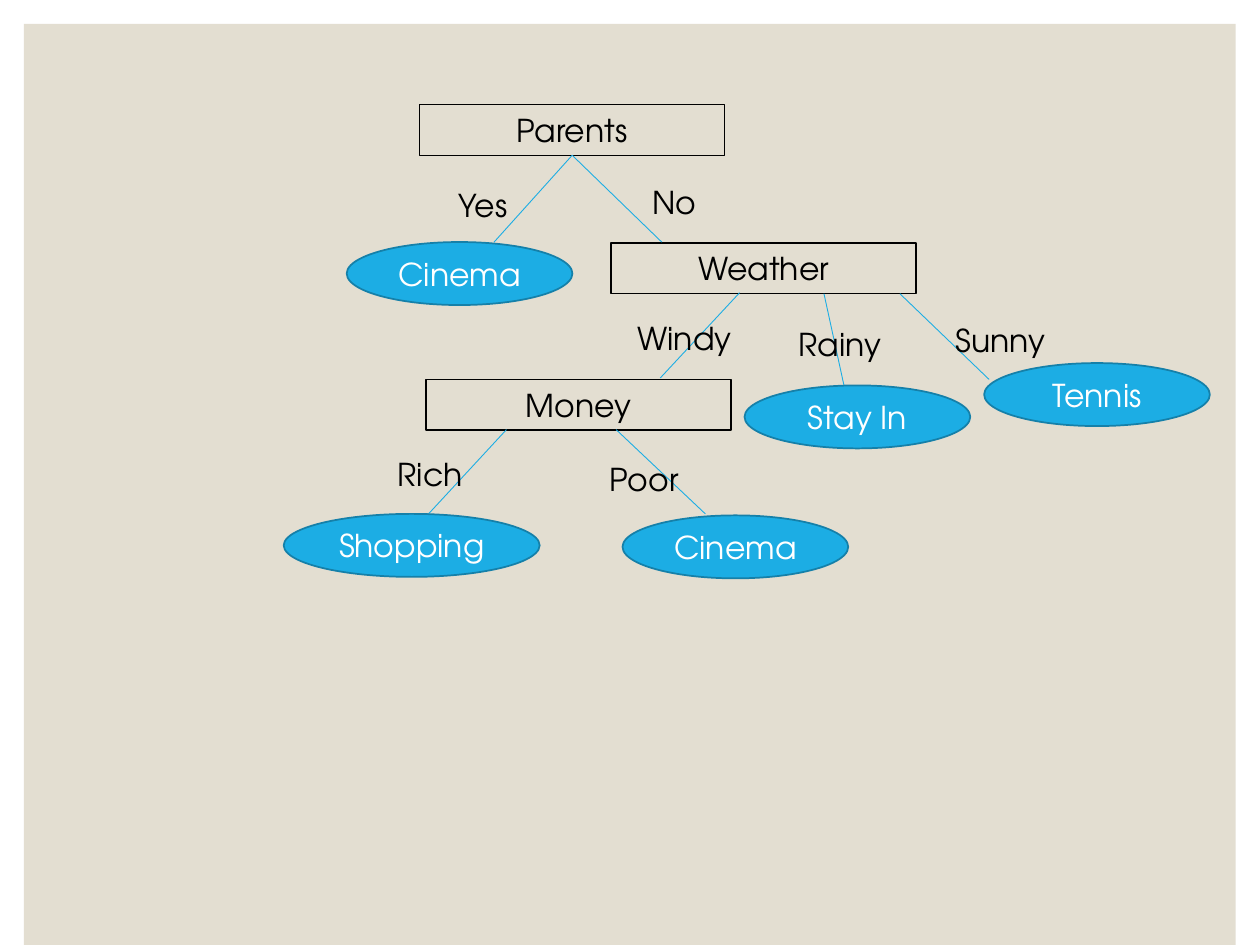
from lxml.etree import SubElement
from pptx import Presentation
from pptx.dml.color import RGBColor
from pptx.enum.shapes import MSO_CONNECTOR as Connector, MSO_SHAPE as Shape
from pptx.enum.text import MSO_ANCHOR as Anchor, MSO_AUTO_SIZE as AutoSize, PP_ALIGN as Align
from pptx.oxml.ns import qn
from pptx.util import Cm, Pt

SAND = RGBColor(0xE3, 0xDE, 0xD1)
BLUE = RGBColor(0x1C, 0xAD, 0xE4)
DARK_BLUE = RGBColor(0x15, 0x80, 0xA9)
BLACK = RGBColor(0, 0, 0)
WHITE = RGBColor(0xFF, 0xFF, 0xFF)
FONT = "TeX Gyre Adventor"
ROW_HEIGHT = 1.02
LEAF_WIDTH, LEAF_HEIGHT = 4.55, 1.27


def write(owner, wording, color, align, anchor):
    frame = owner.text_frame
    frame.word_wrap = True
    frame.vertical_anchor = anchor
    if anchor == Anchor.TOP:
        frame.auto_size = AutoSize.SHAPE_TO_FIT_TEXT
    paragraph = frame.paragraphs[0]
    paragraph.text = wording
    paragraph.alignment = align
    paragraph.font.name = FONT
    paragraph.font.size = Pt(18)
    paragraph.font.color.rgb = color


def add_panel(slide):
    panel = slide.shapes.add_shape(Shape.RECTANGLE, Cm(0.48), Cm(0.48), Cm(24.43), Cm(18.57))
    panel.shadow.inherit = False
    panel.fill.solid()
    panel.fill.fore_color.rgb = SAND
    panel.line.fill.background()


def add_question(slide, wording, left, top):
    question = slide.shapes.add_shape(Shape.RECTANGLE, Cm(left), Cm(top), Cm(6.15), Cm(ROW_HEIGHT))
    question.shadow.inherit = False
    question.fill.background()
    question.line.color.rgb = BLACK
    question.line.width = Pt(0.75)
    write(question, wording, BLACK, Align.CENTER, Anchor.TOP)
    return question


def add_decision(slide, wording, left, top, width=LEAF_WIDTH):
    decision = slide.shapes.add_shape(Shape.OVAL, Cm(left), Cm(top), Cm(width), Cm(LEAF_HEIGHT))
    decision.shadow.inherit = False
    decision.fill.solid()
    decision.fill.fore_color.rgb = BLUE
    decision.line.color.rgb = DARK_BLUE
    decision.line.width = Pt(1)
    write(decision, wording, WHITE, Align.CENTER, Anchor.MIDDLE)


def add_branch(slide, x1, y1, x2, y2):
    branch = slide.shapes.add_connector(Connector.STRAIGHT, Cm(x1), Cm(y1), Cm(x2), Cm(y2))
    branch.line.color.rgb = BLUE
    branch.line.width = Pt(0.5)
    SubElement(branch._element.spPr, qn("a:effectLst"))
    return branch


def add_answer(slide, wording, left, top, width=2.97):
    answer = slide.shapes.add_textbox(Cm(left), Cm(top), Cm(width), Cm(ROW_HEIGHT))
    write(answer, wording, BLACK, Align.LEFT, Anchor.TOP)


def main():
    deck = Presentation()
    deck.slide_width, deck.slide_height = Cm(25.4), Cm(19.05)
    slide = deck.slides.add_slide(deck.slide_layouts[6])
    add_panel(slide)

    parents = add_question(slide, "Parents", 8.46, 2.11)
    add_question(slide, "Weather", 12.32, 4.9)
    add_question(slide, "Money", 8.59, 7.65)

    for child_x in (9.96, 13.34):
        add_branch(slide, 11.53, 3.13, child_x, 4.88).begin_connect(parents, 2)
    for ends in (
        (14.91, 5.9, 13.31, 7.62),
        (16.61, 5.92, 17.02, 7.8),
        (18.14, 5.92, 19.94, 7.65),
        (10.21, 8.66, 8.61, 10.39),
        (12.42, 8.66, 14.22, 10.36),
    ):
        add_branch(slide, *ends)

    add_answer(slide, "Yes", 8.99, 3.63, 1.9)
    add_answer(slide, "No", 12.9, 3.56, 1.9)
    add_answer(slide, "Windy", 12.6, 6.3)
    add_answer(slide, "Rainy", 15.85, 6.43)
    add_answer(slide, "Sunny", 19.02, 6.35)
    add_answer(slide, "Rich", 7.77, 9.04)
    add_answer(slide, "Poor", 12.04, 9.14)

    add_decision(slide, "Cinema", 6.99, 4.88)
    add_decision(slide, "Stay In", 15.01, 7.77)
    add_decision(slide, "Tennis", 19.84, 7.32)
    add_decision(slide, "Shopping", 5.72, 10.36, 5.16)
    add_decision(slide, "Cinema", 12.55, 10.39)

    deck.save("out.pptx")


if __name__ == "__main__":
    main()
